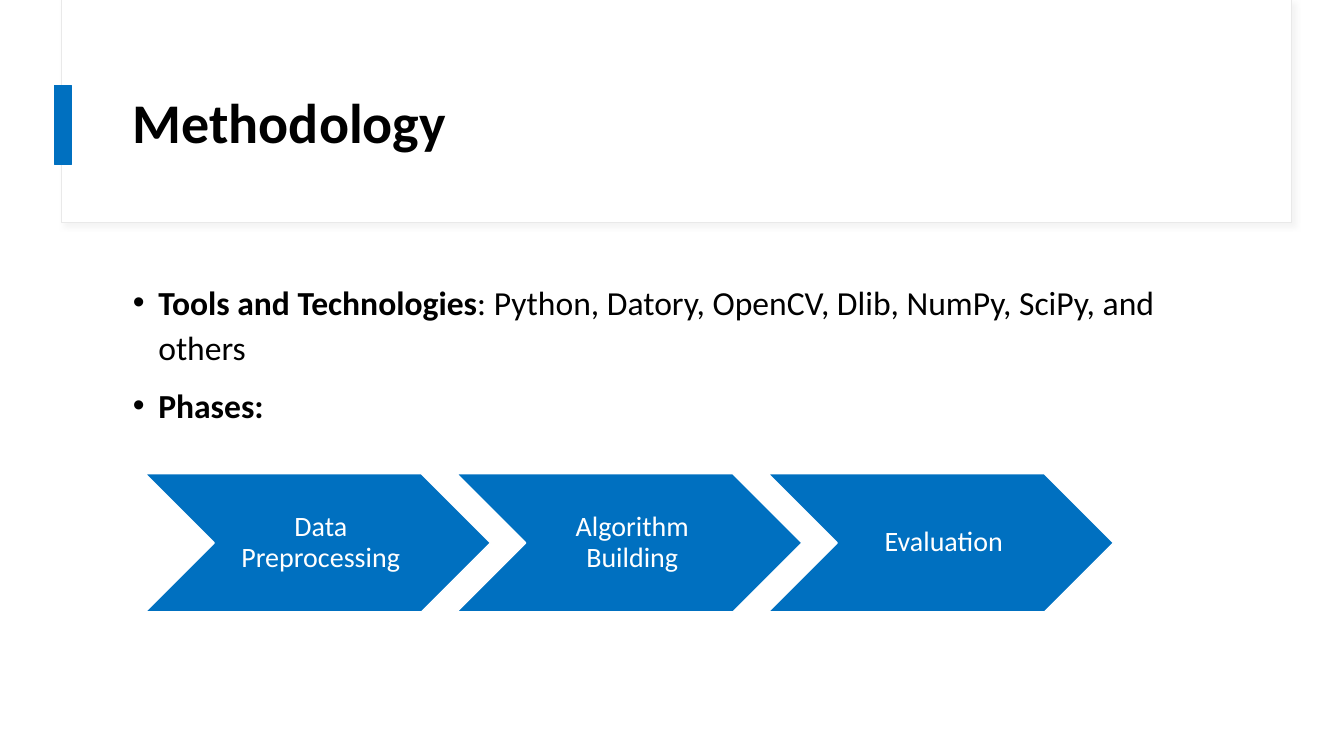
from lxml import etree
from pptx import Presentation
from pptx.dml.color import RGBColor
from pptx.enum.shapes import MSO_SHAPE
from pptx.enum.text import MSO_ANCHOR, PP_ALIGN
from pptx.oxml.ns import qn
from pptx.util import Cm, Pt

RECTANGLE, CHEVRON = MSO_SHAPE.RECTANGLE, MSO_SHAPE.CHEVRON
TOP, MIDDLE = MSO_ANCHOR.TOP, MSO_ANCHOR.MIDDLE
LEFT, CENTER = PP_ALIGN.LEFT, PP_ALIGN.CENTER

BLACK = RGBColor(0x00, 0x00, 0x00)
WHITE = RGBColor(0xFF, 0xFF, 0xFF)
BLUE = RGBColor(0x00, 0x70, 0xC0)
FRAME_GREY = RGBColor(0xE9, 0xE9, 0xE9)
SHADOW_GREY = "D9D9D9"
FONT = "Calibri"

TOPICS = [
    [("Tools and Technologies", True),
     (": Python, Datory, OpenCV, Dlib, NumPy, SciPy, and others", False)],
    [("Phases:", True)],
]
PHASES = ["Data Preprocessing", "Algorithm Building", "Evaluation"]


def add_bullet(paragraph):
    """Give a paragraph a hanging round bullet."""
    properties = paragraph._p.get_or_add_pPr()
    properties.set("marL", str(Cm(0.64)))
    properties.set("indent", str(-Cm(0.64)))
    etree.SubElement(properties, qn("a:buFont"), typeface="Arial")
    etree.SubElement(properties, qn("a:buChar"), char="•")


def write_text(holder, paragraphs, size, color=BLACK, align=LEFT, anchor=TOP,
               line_spacing=0.9, space_before=0, bulleted=False,
               insets=(0.25, 0.13, 0.25, 0.13)):
    """Fill a shape with paragraphs, each a list of (text, bold) runs."""
    frame = holder.text_frame
    frame.word_wrap = True
    frame.vertical_anchor = anchor
    (frame.margin_left, frame.margin_top,
     frame.margin_right, frame.margin_bottom) = map(Cm, insets)
    for index, runs in enumerate(paragraphs):
        paragraph = frame.add_paragraph() if index else frame.paragraphs[0]
        paragraph.alignment = align
        paragraph.line_spacing = line_spacing
        paragraph.space_before = Pt(space_before if index else 0)
        if bulleted:
            add_bullet(paragraph)
        for text, bold in runs:
            run = paragraph.add_run()
            run.text = text
            run.font.name = FONT
            run.font.size = Pt(size)
            run.font.bold = bold
            run.font.color.rgb = color


def add_block(slide, preset, left, top, width, height, fill, line, line_width=1):
    """Add a filled, outlined preset shape without a shadow, in centimetres."""
    block = slide.shapes.add_shape(preset, Cm(left), Cm(top), Cm(width), Cm(height))
    block.shadow.inherit = False
    block.fill.solid()
    block.fill.fore_color.rgb = fill
    block.line.color.rgb = line
    block.line.width = Pt(line_width)
    return block


def add_soft_shadow(block):
    """Put a faint shadow to the lower right of a shape."""
    effects = block._element.spPr.find(qn("a:effectLst"))
    shadow = etree.SubElement(effects, qn("a:outerShdw"), blurRad=str(Pt(4)),
                              dist=str(Pt(3)), dir="2700000", algn="tl",
                              rotWithShape="0")
    tint = etree.SubElement(shadow, qn("a:srgbClr"), val=SHADOW_GREY)
    etree.SubElement(tint, qn("a:alpha"), val="30000")


def add_header(slide, left, top, width, height):
    """Draw the framed header with its accent bar and title."""
    frame = add_block(slide, RECTANGLE, left, top, width, height,
                      WHITE, FRAME_GREY, 0.75)
    add_soft_shadow(frame)
    add_block(slide, RECTANGLE, left - 0.18, top + 2.16, 0.43, 1.98, BLUE, BLUE)
    title = slide.shapes.add_textbox(Cm(left + 1.55), Cm(top + 1.52),
                                     Cm(width - 2.77), Cm(3.28))
    write_text(title, [[("Methodology", True)]], 40, anchor=MIDDLE)


def add_topics(slide, left, top, width, height):
    """Write the bulleted topics."""
    topics = slide.shapes.add_textbox(Cm(left), Cm(top), Cm(width), Cm(height))
    write_text(topics, TOPICS, 24, line_spacing=1.1, space_before=10, bulleted=True)


def add_phases(slide, left, top, width, height):
    """Draw the phases as a row of chevrons, overlapping by a tenth of the height cut."""
    chevron_width = height * 2.5
    step = (width - chevron_width) / (len(PHASES) - 1)
    for index, phase in enumerate(PHASES):
        chevron = add_block(slide, CHEVRON, left + index * step, top,
                            chevron_width, height, BLUE, WHITE)
        write_text(chevron, [[(phase, False)]], 20, WHITE, CENTER, MIDDLE,
                   insets=(0.23, 0.08, 0.08, 0.08))


def main():
    """Build the methodology slide and save it."""
    deck = Presentation()
    deck.slide_width, deck.slide_height = Cm(33.87), Cm(19.05)
    slide = deck.slides.add_slide(deck.slide_layouts[6])
    add_header(slide, 1.55, 0, 31.01, 5.61)
    add_topics(slide, 3.1, 6.88, 28.24, 4.52)
    add_phases(slide, 3.66, 11.94, 24.4, 3.48)
    deck.save("out.pptx")


if __name__ == "__main__":
    main()
